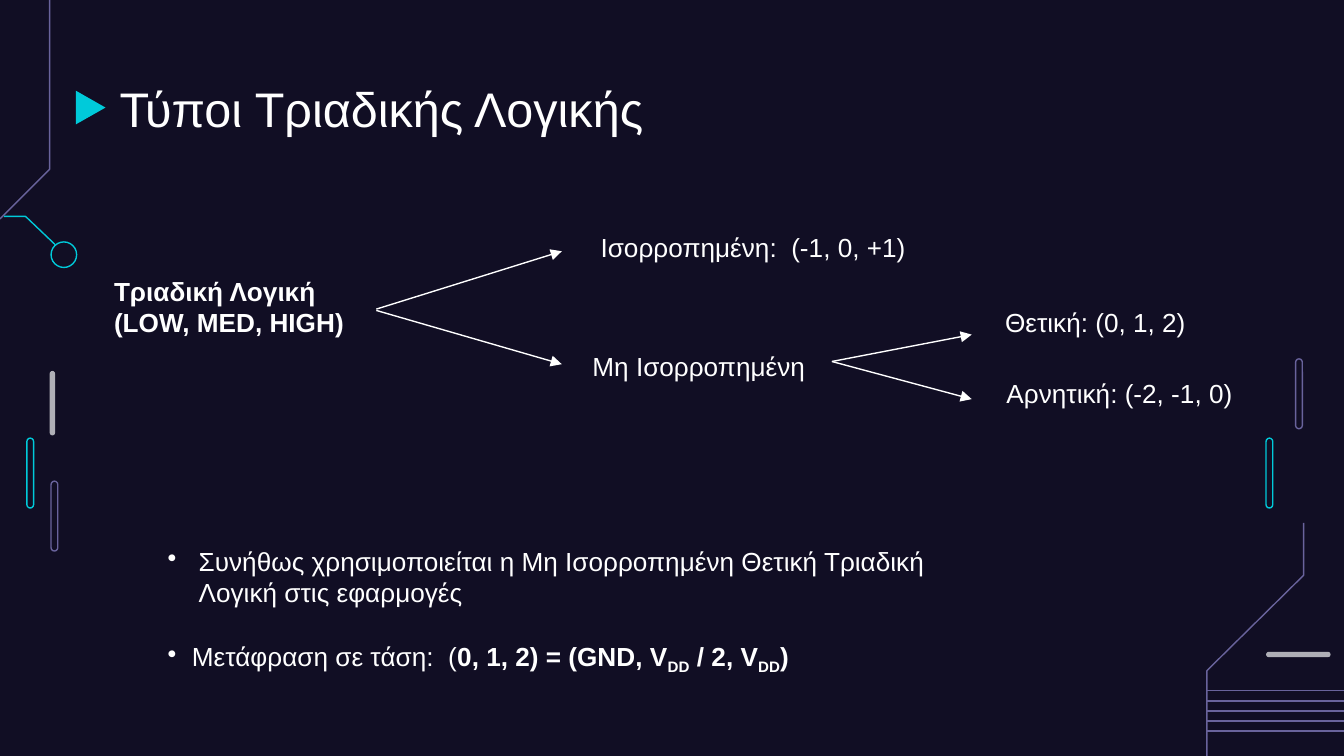
from dataclasses import dataclass

from lxml import etree
from pptx import Presentation
from pptx.dml.color import RGBColor
from pptx.enum import shapes, text
from pptx.oxml import ns
from pptx.util import Inches, Pt


@dataclass(frozen=True)
class Theme:
    background: str = "110E24"
    ink: str = "FFFFFF"
    accent: str = "00CADA"
    circuit: str = "69639C"
    bar: str = "AFAFB6"
    font: str = "Arial"
    title_size: int = 26
    body_size: int = 14
    line_width: float = 0.75


THEME = Theme()


def color(value):
    return RGBColor.from_string(value)


def style_line(line, value):
    line.color.rgb = color(value)
    line.width = Pt(THEME.line_width)


def style_font(paragraph, size, bold=False):
    font = paragraph.font
    font.name = THEME.font
    font.size = Pt(size)
    font.bold = bold
    font.color.rgb = color(THEME.ink)


def style_shape(shape, fill=None, outline=None):
    shape.shadow.inherit = False
    if fill:
        shape.fill.solid()
        shape.fill.fore_color.rgb = color(fill)
    else:
        shape.fill.background()
    if outline:
        style_line(shape.line, outline)
    else:
        shape.line.fill.background()


def add_figure(slide, kind, box, fill=None, outline=None):
    shape = slide.shapes.add_shape(kind, *map(Inches, box))
    style_shape(shape, fill, outline)
    return shape


def add_pill(slide, box, fill=None, outline=None):
    pill = add_figure(slide, shapes.MSO_SHAPE.ROUNDED_RECTANGLE, box, fill, outline)
    pill.adjustments[0] = 0.5


def add_trace(slide, points, outline):
    start, *rest = [(Inches(x), Inches(y)) for x, y in points]
    builder = slide.shapes.build_freeform(*start)
    builder.add_line_segments(rest, close=False)
    style_shape(builder.convert_to_shape(), outline=outline)


def add_line(slide, start, end, value, arrow=False):
    connector = slide.shapes.add_connector(
        shapes.MSO_CONNECTOR.STRAIGHT, *map(Inches, (*start, *end)))
    style_line(connector.line, value)
    if arrow:
        line = connector.line._get_or_add_ln()
        etree.SubElement(line, ns.qn("a:tailEnd"), type="triangle")
    etree.SubElement(connector._element.spPr, ns.qn("a:effectLst"))


def add_text(slide, box, lines, bold=False):
    frame = slide.shapes.add_textbox(*map(Inches, box)).text_frame
    frame.word_wrap = True
    frame.text = "\n".join(lines)
    for paragraph in frame.paragraphs:
        style_font(paragraph, THEME.body_size, bold)
    return frame


def add_bullet(paragraph, indent):
    properties = paragraph._p.get_or_add_pPr()
    properties.set("marL", str(Inches(indent)))
    properties.set("indent", str(-Inches(indent)))
    bullet = etree.Element(ns.qn("a:buChar"), char="•")
    properties.insert_element_before(bullet, "a:tabLst", "a:defRPr", "a:extLst")


def draw_left_circuit(slide, left, top):
    add_trace(slide, [(left + 0.37, top), (left + 0.37, top + 1.26), (left, top + 1.63)],
              THEME.circuit)
    add_trace(slide, [(left + 0.41, top + 1.82), (left + 0.19, top + 1.61),
                      (left + 0.03, top + 1.61)], THEME.accent)
    add_figure(slide, shapes.MSO_SHAPE.OVAL, (left + 0.38, top + 1.8, 0.19, 0.19),
               outline=THEME.accent)
    add_pill(slide, (left + 0.2, top + 3.26, 0.05, 0.52), outline=THEME.accent)
    add_pill(slide, (left + 0.38, top + 3.58, 0.05, 0.52), outline=THEME.circuit)
    add_pill(slide, (left + 0.37, top + 2.76, 0.04, 0.48), fill=THEME.bar)


def draw_right_circuit(slide, left, top, right, bottom):
    add_trace(slide, [(left + 0.72, top + 1.22), (left + 0.72, top + 1.61),
                      (left, top + 2.32), (left, bottom)], THEME.circuit)
    for row in range(5):
        y = top + 2.47 + row * 0.075
        add_line(slide, (right, y), (left, y), THEME.circuit)
    add_pill(slide, (left + 0.44, top + 0.59, 0.05, 0.52), outline=THEME.accent)
    add_pill(slide, (left + 0.66, top, 0.05, 0.52), outline=THEME.circuit)
    add_pill(slide, (left + 0.44, top + 2.18, 0.48, 0.04), fill=THEME.bar)


def draw_title(slide, left, top, width, height):
    marker = add_figure(slide, shapes.MSO_SHAPE.FLOWCHART_MERGE,
                        (left - 0.24, top + 0.2, 0.25, 0.22), fill=THEME.accent)
    marker.rotation = 270
    title = slide.shapes.title
    title.left, title.top, title.width, title.height = map(
        Inches, (left, top, width, height))
    frame = title.text_frame
    frame.text = "Τύποι Τριαδικής Λογικής"
    frame.vertical_anchor = text.MSO_ANCHOR.MIDDLE
    frame.margin_left = frame.margin_right = Inches(0.1)
    frame.margin_top = frame.margin_bottom = Inches(0.1)
    paragraph = frame.paragraphs[0]
    paragraph.alignment = text.PP_ALIGN.LEFT
    style_font(paragraph, THEME.title_size)


def draw_logic_tree(slide, left, top):
    add_text(slide, (left, top + 0.33, 1.99, 0.57),
             ["Τριαδική Λογική", "(LOW, MED, HIGH)"], bold=True)
    labels = [
        ("Ισορροπημένη:  (-1, 0, +1)", 3.62, 0, 2.95),
        ("Μη Ισορροπημένη", 3.56, 0.89, 3),
        ("Θετική: (0, 1, 2)", 6.63, 0.56, 1.96),
        ("Αρνητική: (-2, -1, 0)", 6.64, 1.09, 2.11),
    ]
    for label, x, y, width in labels:
        add_text(slide, (left + x, top + y, width, 0.34), [label])
    branches = [
        ((2.05, 0.63), (3.43, 0.2)),
        ((2.05, 0.64), (3.43, 1.04)),
        ((5.44, 1.02), (6.48, 0.82)),
        ((5.44, 1.02), (6.48, 1.3)),
    ]
    for start, end in branches:
        add_line(slide, (left + start[0], top + start[1]),
                 (left + end[0], top + end[1]), THEME.ink, arrow=True)


def draw_notes(slide, left, top, width, height):
    frame = add_text(slide, (left, top, width, height), [
        "Συνήθως χρησιμοποιείται η Μη Ισορροπημένη Θετική Τριαδική Λογική στις εφαρμογές",
        "Μετάφραση σε τάση:  ("])
    usage, voltage = frame.paragraphs
    usage.space_after = Pt(17)
    add_bullet(usage, 0.23)
    add_bullet(voltage, 0.18)
    for part in ("0, 1, 2) = (GND, V", "DD", " / 2, V", "DD", ")"):
        run = voltage.add_run()
        run.text = part
        run.font.bold = True
        if part == "DD":
            run.font._element.set("baseline", "-25000")


def main():
    presentation = Presentation()
    presentation.slide_width = Inches(10)
    presentation.slide_height = presentation.slide_width * 9 // 16
    slide = presentation.slides.add_slide(presentation.slide_layouts[5])
    slide.background.fill.solid()
    slide.background.fill.fore_color.rgb = color(THEME.background)
    draw_right_circuit(slide, 8.98, 2.67, 10, presentation.slide_height / Inches(1))
    draw_left_circuit(slide, 0, 0)
    draw_title(slide, 0.79, 0.49, 8.43, 0.63)
    draw_logic_tree(slide, 0.75, 1.67)
    draw_notes(slide, 1.15, 4.01, 6.13, 1.04)
    presentation.save("out.pptx")


if __name__ == "__main__":
    main()
